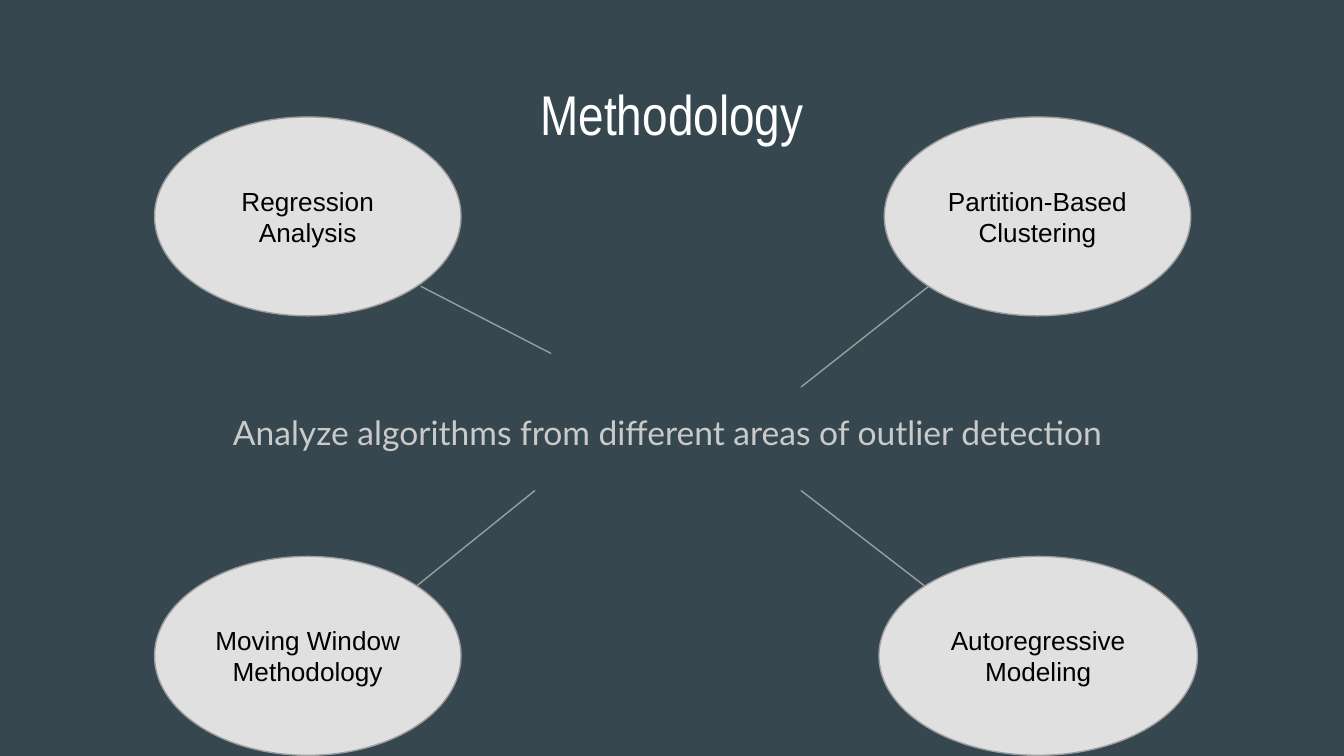
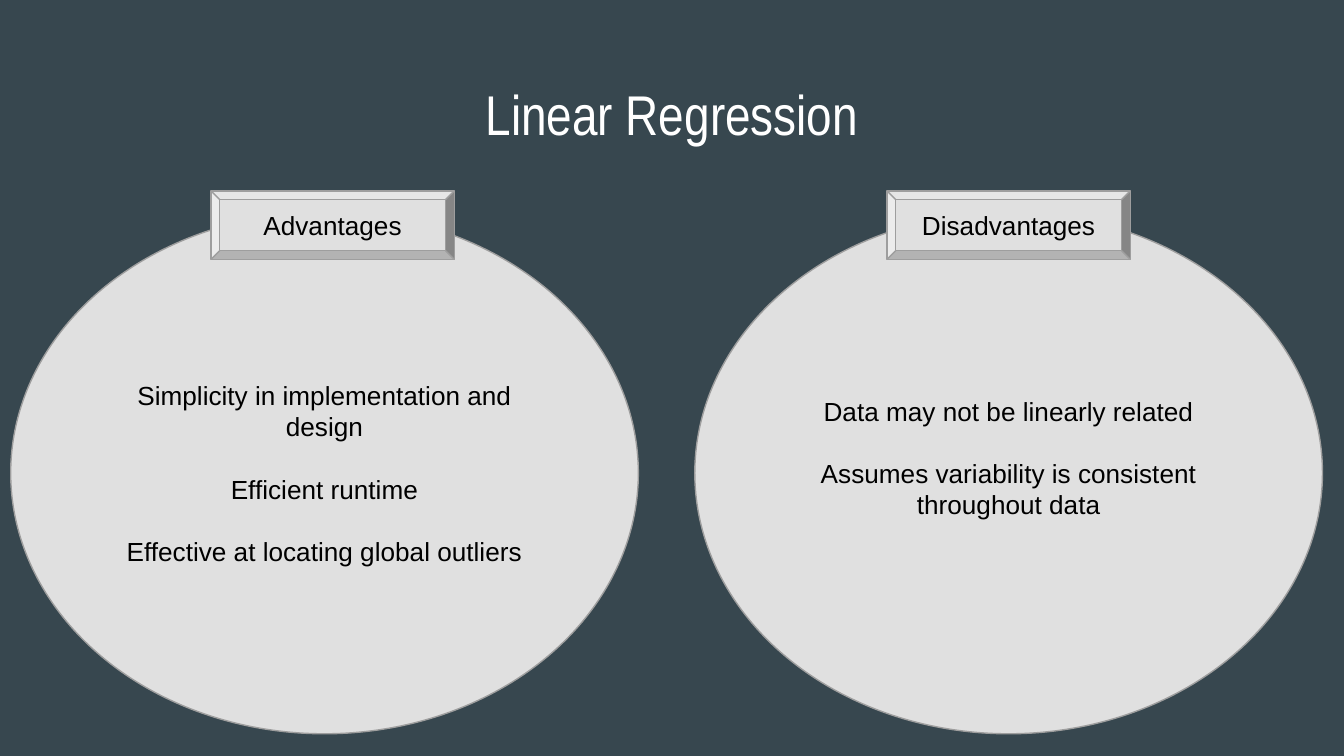
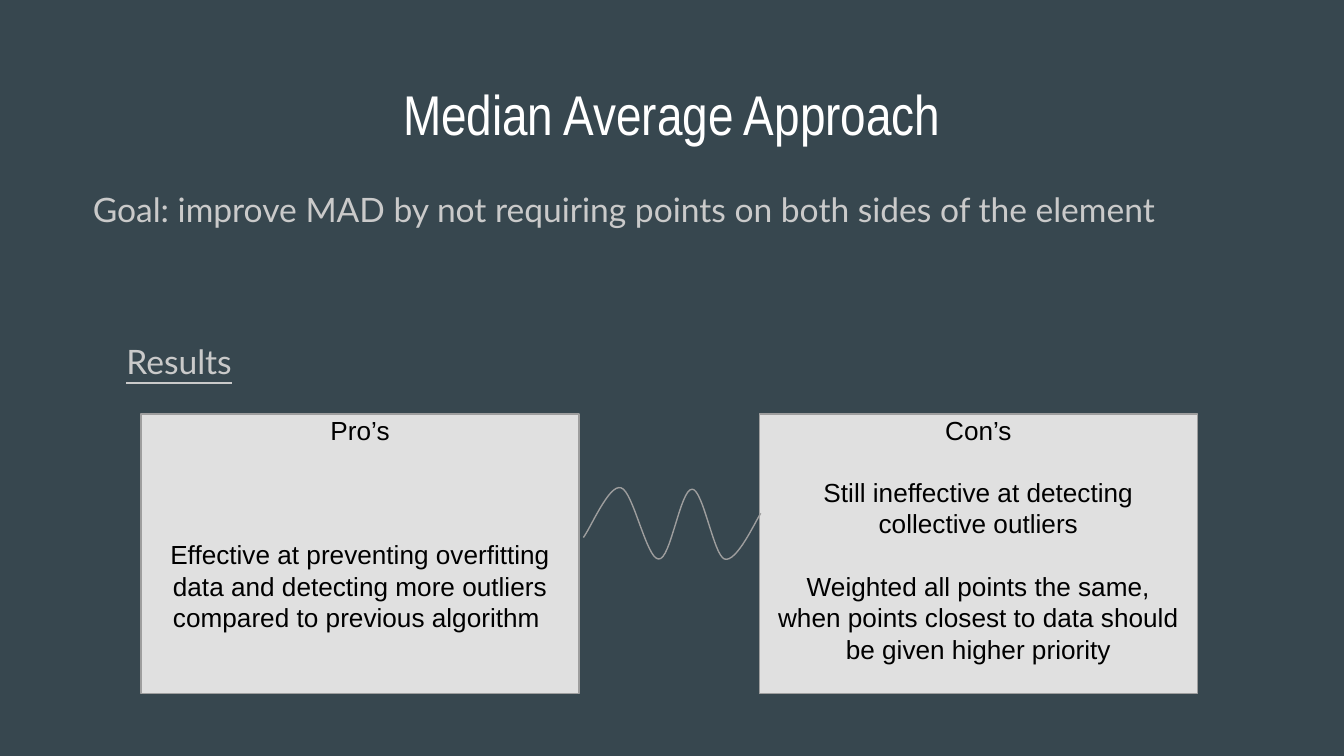
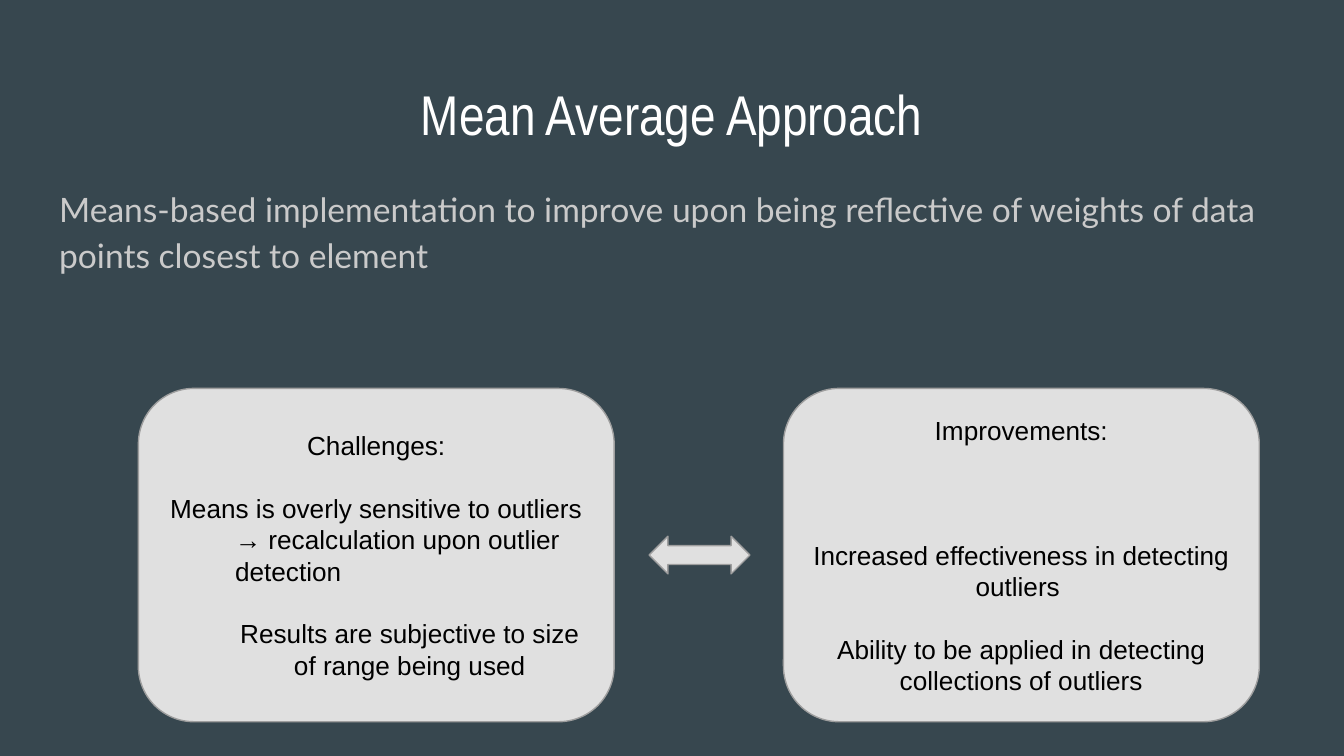
"""Build four slides on outlier detection methods."""
from dataclasses import dataclass

from lxml.etree import SubElement
from pptx import Presentation
from pptx.dml.color import RGBColor
from pptx.enum.shapes import MSO_CONNECTOR, MSO_SHAPE
from pptx.enum.text import MSO_ANCHOR, MSO_AUTO_SIZE, PP_ALIGN
from pptx.oxml.ns import qn
from pptx.util import Inches, Pt


@dataclass(frozen=True)
class TextStyle:
    font: str
    size: float
    color: str
    blank_line: float = 0
    line_spacing: float = 1.0
    space_after: float = 0


@dataclass(frozen=True)
class Theme:
    background: str = "37474F"
    fill: str = "E0E0E0"
    line: str = "9E9E9E"
    line_width: float = 0.75
    title: TextStyle = TextStyle("Arial Narrow", 30, "FFFFFF")
    body: TextStyle = TextStyle("Lato", 18, "CACACA", 40.5, 1.15, 16)
    label: TextStyle = TextStyle("Arial", 14, "000000", 16.7)


@dataclass(frozen=True)
class Line:
    text: str
    blank_lines: int = 0
    margin: float = 0
    hanging: float = 0
    centred: bool = True
    underline: bool = False


class Deck:
    """Hold the theme and current slide, measured in a grid 100 columns wide."""

    def __init__(self, theme):
        self.theme = theme
        self.presentation = Presentation()
        self.presentation.slide_width = Inches(10)
        self.presentation.slide_height = Inches(10) * 9 // 16
        self.cell = self.presentation.slide_width // 100
        self.slide = None
        self.paint(self.presentation.slide_master.background.fill, theme.background)

    def grid(self, *cells):
        return [round(cell * self.cell) for cell in cells]

    def paint(self, fill, color):
        fill.solid()
        fill.fore_color.rgb = RGBColor.from_string(color)

    def outline(self, shape):
        shape.line.color.rgb = RGBColor.from_string(self.theme.line)
        shape.line.width = Pt(self.theme.line_width)

    def place(self, shape, box):
        shape.left, shape.top, shape.width, shape.height = self.grid(*box)

    def set_lines(self, shape, lines, style, anchor, top=1, bottom=1):
        frame = shape.text_frame
        frame.word_wrap = True
        frame.auto_size = MSO_AUTO_SIZE.NONE
        frame.vertical_anchor = anchor
        frame.margin_left, frame.margin_right = self.grid(1, 1)
        frame.margin_top, frame.margin_bottom = self.grid(top, bottom)
        for index, line in enumerate(lines):
            paragraph = frame.add_paragraph() if index else frame.paragraphs[0]
            paragraph.alignment = PP_ALIGN.CENTER if line.centred else PP_ALIGN.LEFT
            paragraph.line_spacing = style.line_spacing
            paragraph.space_before = Pt(line.blank_lines * style.blank_line)
            paragraph.space_after = Pt(style.space_after)
            properties = paragraph._p.get_or_add_pPr()
            margin, indent = self.grid(line.margin, -line.hanging)
            properties.set("marL", str(margin))
            properties.set("indent", str(indent))
            SubElement(properties, qn("a:buNone"))
            run = paragraph.add_run()
            run.text = line.text
            for font in (paragraph.font, run.font):
                font.name = style.font
                font.size = Pt(style.size)
                font.color.rgb = RGBColor.from_string(style.color)
                if line.underline:
                    font.underline = True

    def start(self, title, has_body=True):
        layout = self.presentation.slide_layouts[1 if has_body else 5]
        self.slide = self.presentation.slides.add_slide(layout)
        shape = self.slide.shapes.title
        self.place(shape, (3.4, 4.9, 93.2, 6.3))
        self.set_lines(shape, [Line(title)], self.theme.title, MSO_ANCHOR.TOP)

    def body(self, *lines, top=1):
        shape = self.slide.placeholders[1]
        self.place(shape, (3.4, 12.6, 93.2, 37.4))
        self.set_lines(shape, lines, self.theme.body, MSO_ANCHOR.TOP, top)

    def shape(self, kind, box, *lines, anchor=MSO_ANCHOR.MIDDLE, top=1, bottom=1):
        shape = self.slide.shapes.add_shape(kind, *self.grid(*box))
        shape.shadow.inherit = False
        self.paint(shape.fill, self.theme.fill)
        self.outline(shape)
        self.set_lines(shape, lines, self.theme.label, anchor, top, bottom)

    def line(self, *ends):
        connector = self.slide.shapes.add_connector(
            MSO_CONNECTOR.STRAIGHT, *self.grid(*ends))
        self.outline(connector)
        SubElement(connector._element.spPr, qn("a:effectLst"))

    def curve(self, start, segments, steps=16):
        points = [start]
        for first, second, end in segments:
            begin = points[-1]
            for step in range(1, steps + 1):
                t = step / steps
                weights = ((1 - t) ** 3, 3 * t * (1 - t) ** 2, 3 * t * t * (1 - t), t ** 3)
                points.append(tuple(
                    sum(weight * value for weight, value in zip(weights, values))
                    for values in zip(begin, first, second, end)))
        corners = [self.grid(*point) for point in points]
        builder = self.slide.shapes.build_freeform(*corners[0])
        builder.add_line_segments(corners[1:], close=False)
        shape = builder.convert_to_shape()
        shape.fill.background()
        shape.shadow.inherit = False
        self.outline(shape)


def methodology(deck):
    deck.start("Methodology")
    deck.body(Line("Analyze algorithms from different areas of outlier detection "), top=17.6)
    for left, top, width, label in (
            (11.5, 8.7, 22.8, "Regression Analysis"),
            (65.8, 8.7, 22.8, "Partition-Based Clustering"),
            (11.5, 41.4, 22.8, "Moving Window Methodology"),
            (65.4, 41.4, 23.7, "Autoregressive Modeling")):
        deck.shape(MSO_SHAPE.OVAL, (left, top, width, 14.8), Line(label))
    for ends in ((31.3, 21.3, 41, 26.3), (69.1, 21.3, 59.6, 28.8),
                 (31, 43.6, 39.8, 36.5), (59.6, 36.5, 68.8, 43.6)):
        deck.line(*ends)


def linear_regression(deck):
    deck.start("Linear Regression", has_body=False)
    advantages = (Line("Simplicity in implementation and design"),
                  Line("Efficient runtime", 1),
                  Line("Effective at locating global outliers", 1))
    disadvantages = (Line("Data may not be linearly related"),
                     Line("Assumes variability is consistent throughout data", 1))
    for left, lines, bottom in ((0.8, advantages, 1), (51.7, disadvantages, 3.3)):
        deck.shape(MSO_SHAPE.OVAL, (left, 15.8, 46.7, 38.8), *lines, bottom=bottom)
    for left, heading in ((15.7, "Advantages"), (66, "Disadvantages")):
        deck.shape(MSO_SHAPE.BEVEL, (left, 14.2, 18.1, 5.1), Line(heading))


def median_average(deck):
    deck.start("Median Average Approach")
    deck.body(
        Line("Goal: improve MAD by not requiring points on both sides of the element",
             margin=5, hanging=2.5, centred=False),
        Line("Results", 1, margin=5, centred=False, underline=True))
    pros = (Line("Pro’s"),
            Line("Effective at preventing overfitting data and detecting more outliers "
                 "compared to previous algorithm ", 3))
    cons = (Line("Con’s"),
            Line("Still ineffective at detecting collective outliers", 1),
            Line("Weighted all points the same, when points closest to data should be "
                 "given higher priority", 1))
    for left, lines in ((10.5, pros), (56.5, cons)):
        deck.shape(MSO_SHAPE.RECTANGLE, (left, 30.8, 32.6, 20.8), *lines,
                   anchor=MSO_ANCHOR.TOP, top=0)
    deck.curve((43.4, 40), (
        ((43.9, 39.4), (45.3, 36), (46.2, 36.3)),
        ((47.1, 36.5), (48.1, 41.6), (49, 41.6)),
        ((49.9, 41.7), (50.6, 36.4), (51.5, 36.4)),
        ((52.3, 36.4), (53.1, 41.3), (53.9, 41.6)),
        ((54.8, 41.9), (56.2, 38.8), (56.6, 38.2))))


def mean_average(deck):
    deck.start("Mean Average Approach")
    deck.body(Line("Means-based implementation to improve upon being reflective of weights "
                   "of data points closest to element", centred=False))
    challenges = (Line("Challenges:"),
                  Line("Means is overly sensitive to outliers", 1),
                  Line("→ recalculation upon outlier detection", margin=5, centred=False),
                  Line("Results are subjective to size of range being used", 1, margin=5))
    improvements = (Line("Improvements:"),
                    Line("Increased effectiveness in detecting outliers ", 3),
                    Line("Ability to be applied in detecting collections of outliers", 1))
    for left, lines in ((10.3, challenges), (58.3, improvements)):
        deck.shape(MSO_SHAPE.ROUNDED_RECTANGLE, (left, 28.9, 35.4, 24.8), *lines)
    deck.shape(MSO_SHAPE.LEFT_RIGHT_ARROW, (48.3, 39.9, 7.5, 2.8))


def main():
    deck = Deck(Theme())
    for build in (methodology, linear_regression, median_average, mean_average):
        build(deck)
    deck.presentation.save("out.pptx")


if __name__ == "__main__":
    main()
